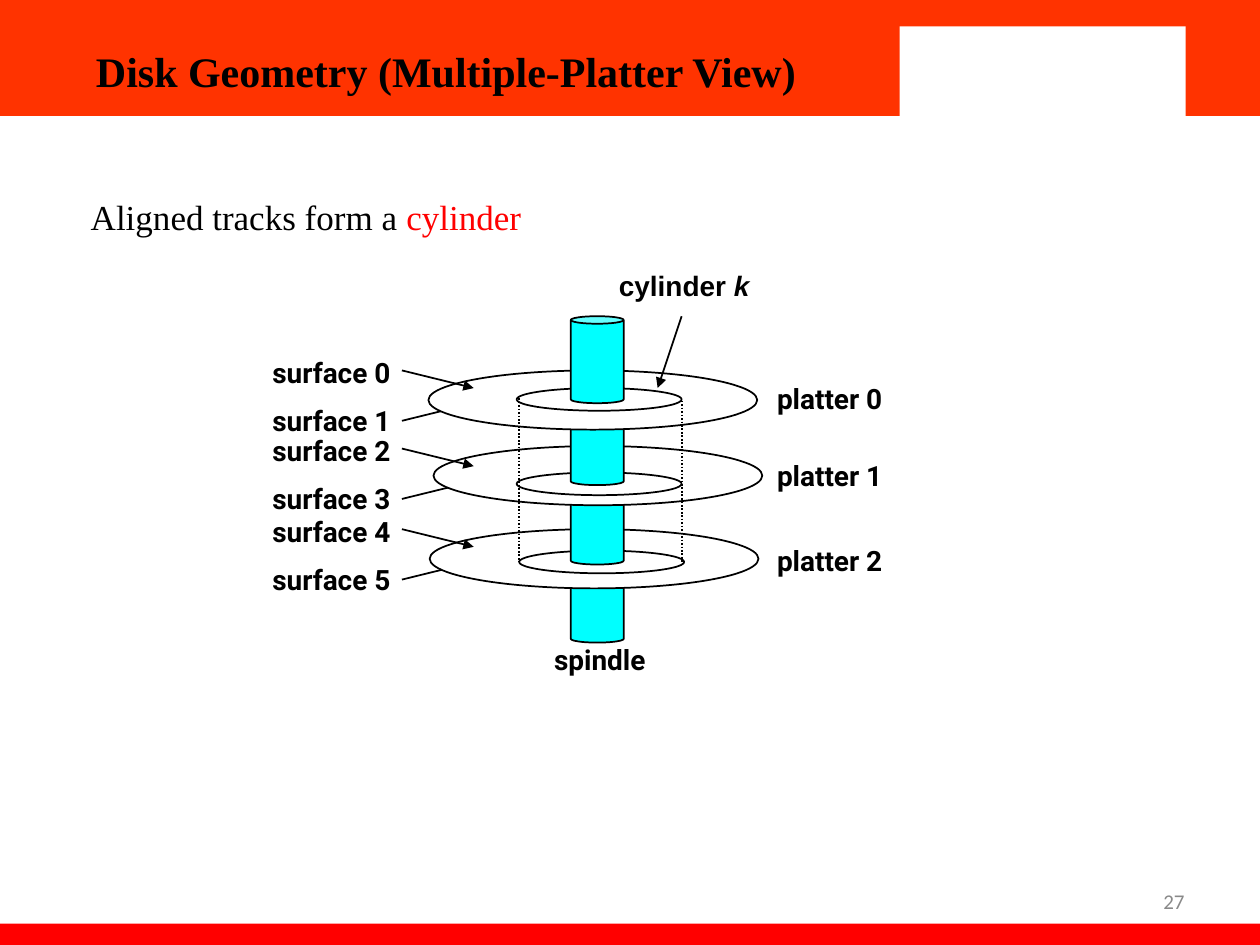
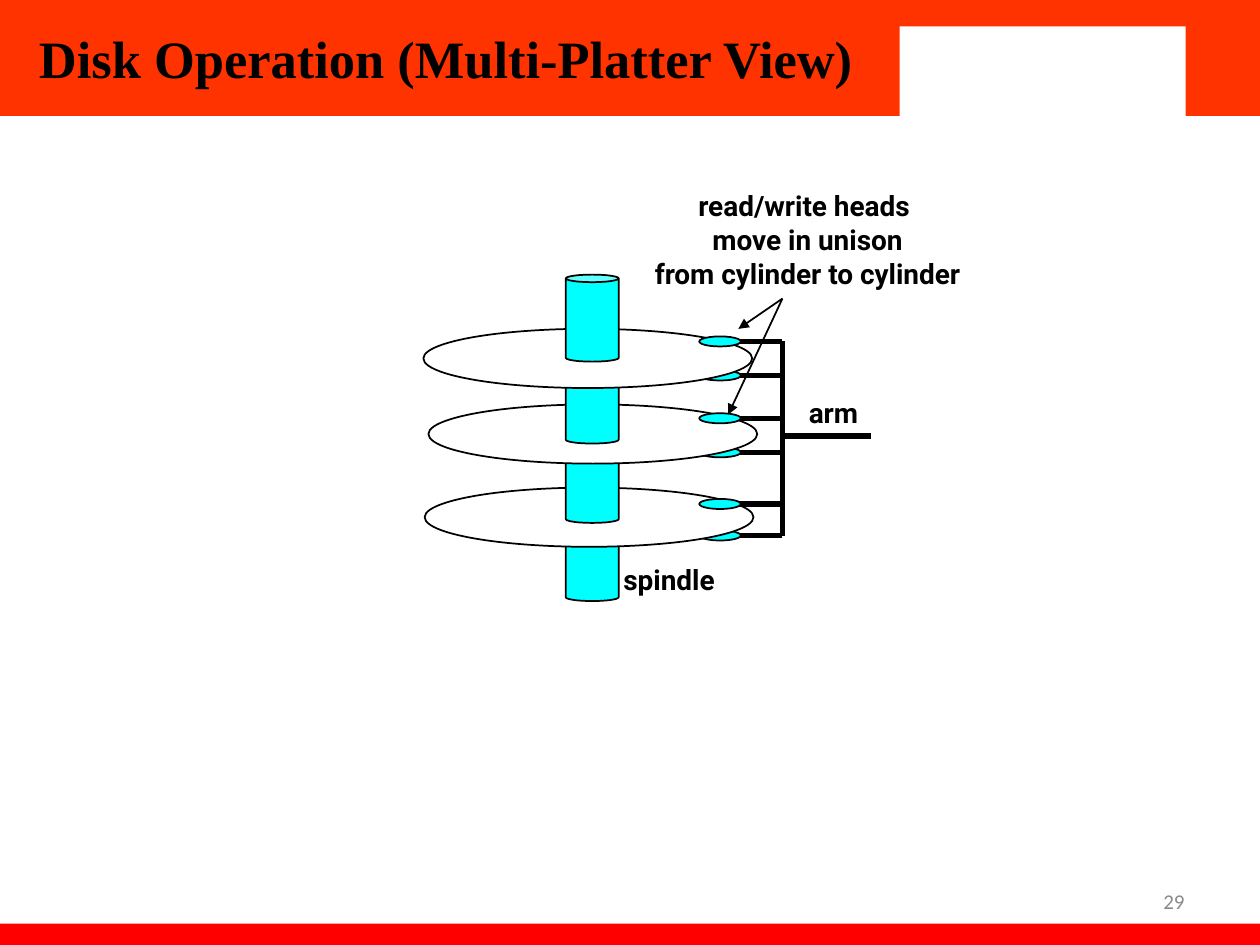
from lxml.etree import SubElement
from pptx import Presentation
from pptx.dml.color import RGBColor
from pptx.enum.dml import MSO_LINE
from pptx.enum.shapes import MSO_CONNECTOR, MSO_SHAPE
from pptx.enum.text import MSO_ANCHOR, MSO_AUTO_SIZE, PP_ALIGN
from pptx.oxml.ns import qn
from pptx.util import Inches, Pt

BLACK, WHITE, RED, ORANGE, CYAN, GREY = "000000", "FFFFFF", "FF0000", "FF3300", "00FFFF", "898989"
SERIF = "Times New Roman"
LABEL = {"name": "Roboto", "size": Pt(16), "bold": True}
TITLE_BOX = (0, 0, 7.08, 0.92)
BODY_BOX = (0.5, 1.5, 9, 4.95)
NUMBER_BOX = (7.17, 6.95, 2.33, 0.4)
BANDS = [
    ((0, 0, 10, 0.92), ORANGE),
    ((0, 7.33, 10, 0.17), RED),
    ((6.72, 0, 3.28, 0.92), ORANGE),
    ((7.14, 0.21, 2.27, 0.75), WHITE),
]
SPINDLE_LEFT = 1.13
SEGMENT_TOPS = (0, 0.65, 1.28, 1.9)
PLATTERS = ((0, 0.43), (0.04, 1.03), (0.01, 1.69))
RINGS = ((0.7, 0.57), (0.7, 1.24), (0.72, 1.86))


def rgb(color):
    """Turn a hex string into a colour."""
    return RGBColor.from_string(color)


def apply(target, formats):
    """Set each format value on the target."""
    for name, value in formats.items():
        setattr(target, name, value)


def place(shape, box):
    """Move a shape to a box of left, top, width and height in inches."""
    names = ("left", "top", "width", "height")
    apply(shape, dict(zip(names, map(Inches, box))))


def add_run(paragraph, text, color=BLACK, **formats):
    """Append a formatted run."""
    run = paragraph.add_run()
    run.text = text
    apply(run.font, formats)
    run.font.color.rgb = rgb(color)


def add_shape(slide, kind, box, fill=None, outline=BLACK):
    """Draw a preset shape with an optional fill and outline."""
    shape = slide.shapes.add_shape(kind, *map(Inches, box))
    shape.shadow.inherit = False
    if fill:
        shape.fill.solid()
        shape.fill.fore_color.rgb = rgb(fill)
    else:
        shape.fill.background()
    if outline:
        shape.line.color.rgb = rgb(outline)
        shape.line.width = Pt(1)
    else:
        shape.line.fill.background()
    return shape


def add_line(slide, start, end, width=1, dash=None, arrow=False):
    """Draw a straight black line, dashed or with an arrowhead on request."""
    line = slide.shapes.add_connector(MSO_CONNECTOR.STRAIGHT, *map(Inches, start + end))
    line.line.color.rgb = rgb(BLACK)
    line.line.width = Pt(width)
    if dash:
        line.line.dash_style = dash
    properties = line.element.spPr
    if arrow:
        SubElement(properties.find(qn("a:ln")), qn("a:tailEnd"), type="triangle")
    SubElement(properties, qn("a:effectLst"))


def add_label(slide, box, *lines):
    """Add a centred label; each line is a list of text and format pairs or a string."""
    frame = slide.shapes.add_textbox(*map(Inches, box)).text_frame
    apply(frame, {"word_wrap": False, "vertical_anchor": MSO_ANCHOR.MIDDLE,
                  "auto_size": MSO_AUTO_SIZE.SHAPE_TO_FIT_TEXT})
    for index, line in enumerate(lines):
        paragraph = frame.add_paragraph() if index else frame.paragraphs[0]
        paragraph.alignment = PP_ALIGN.CENTER
        for text, formats in [(line, {})] if isinstance(line, str) else line:
            add_run(paragraph, text, **{**LABEL, **formats})


def add_master_bands(presentation, slide):
    """Draw the shared bands and move them behind the master's placeholders."""
    tree = presentation.slide_master.element.cSld.spTree
    for index, (box, color) in enumerate(BANDS):
        band = add_shape(slide, MSO_SHAPE.RECTANGLE, box, color, outline=None)
        band.element.nvSpPr.cNvPr.set("id", str(100 + index))
        tree.insert(2 + index, band.element)


def add_title(slide, text, size, spacing):
    """Fill and place the title placeholder."""
    title = slide.shapes.title
    place(title, TITLE_BOX)
    apply(title.text_frame, {"vertical_anchor": MSO_ANCHOR.MIDDLE, "auto_size": MSO_AUTO_SIZE.NONE})
    paragraph = title.text_frame.paragraphs[0]
    apply(paragraph, {"alignment": PP_ALIGN.CENTER, "line_spacing": spacing})
    add_run(paragraph, text, name=SERIF, size=Pt(size), bold=True)


def add_body(slide, runs):
    """Fill the body placeholder with one unbulleted paragraph."""
    body = slide.placeholders[1]
    place(body, BODY_BOX)
    body.text_frame.auto_size = MSO_AUTO_SIZE.NONE
    paragraph = body.text_frame.paragraphs[0]
    properties = paragraph._p.get_or_add_pPr()
    properties.set("marL", str(Inches(0.12)))
    properties.set("indent", "0")
    SubElement(properties, qn("a:buNone"))
    paragraph.space_before = Pt(0)
    for text, color in runs:
        add_run(paragraph, text, color, name=SERIF, size=Pt(20))


def add_number(slide, number):
    """Write the slide number at the lower right."""
    frame = slide.shapes.add_textbox(*map(Inches, NUMBER_BOX)).text_frame
    apply(frame, {"word_wrap": True, "vertical_anchor": MSO_ANCHOR.MIDDLE})
    paragraph = frame.paragraphs[0]
    paragraph.alignment = PP_ALIGN.RIGHT
    add_run(paragraph, str(number), GREY, name="Calibri", size=Pt(12))


def add_disk_stack(slide, left, top, rings=False):
    """Stack spindle segments and platters from the bottom up."""
    def add_segment(offset):
        box = (left + SPINDLE_LEFT, top + offset, 0.42, 0.69)
        add_shape(slide, MSO_SHAPE.CAN, box, CYAN).adjustments[0] = 0.142

    for index in reversed(range(len(PLATTERS))):
        add_segment(SEGMENT_TOPS[index + 1])
        x, y = PLATTERS[index]
        add_shape(slide, MSO_SHAPE.OVAL, (left + x, top + y, 2.61, 0.47), WHITE)
        if rings:
            x, y = RINGS[index]
            add_shape(slide, MSO_SHAPE.OVAL, (left + x, top + y, 1.31, 0.18))
    add_segment(SEGMENT_TOPS[0])


def add_geometry_diagram(slide, left, top):
    """Draw the platters with labelled surfaces and one cylinder."""
    surface_tops = [top + offset for offset in (0.26, 0.88, 1.52)]

    def add_surface_arrows(start, end):
        for y in surface_tops:
            add_line(slide, (left - 0.21, y + start), (left + 0.36, y + end), arrow=True)

    add_surface_arrows(0.57, 0.43)
    add_disk_stack(slide, left, top, rings=True)
    add_surface_arrows(0.17, 0.31)
    for index, y in enumerate(surface_tops):
        for side in range(2):
            box = (left - 1.36, y + 0.38 * side, 1.18, 0.37)
            add_label(slide, box, f"surface {2 * index + side}")
    for index, y in enumerate((0.47, 1.08, 1.75)):
        add_label(slide, (left + 2.65, top + y, 1.07, 0.37), f"platter {index}")
    for x, y in ((0.72, 0.65), (2.01, 0.67)):
        add_line(slide, (left + x, top + y), (left + x, top + y + 1.3), dash=MSO_LINE.ROUND_DOT)
    arial = {"name": "Arial"}
    add_label(slide, (left + 1.41, top - 0.43, 1.24, 0.37),
              [("cylinder ", arial), ("k", {**arial, "italic": True})])
    add_line(slide, (left + 2.01, top), (left + 1.82, top + 0.57), arrow=True)
    add_label(slide, (left + 0.87, top + 2.54, 0.98, 0.37), "spindle")


def add_operation_diagram(slide, left, top):
    """Draw the platters with read/write heads on a shared arm."""
    arm_x = left + 2.85
    upper_heads, lower_heads = (0.53, 1.14, 1.82), (0.8, 1.41, 2.07)

    def add_heads(offsets):
        for y in offsets:
            add_line(slide, (arm_x, top + y), (arm_x - 0.5, top + y), width=3)
            add_shape(slide, MSO_SHAPE.OVAL, (arm_x - 0.66, top + y - 0.04, 0.33, 0.08), CYAN)

    add_heads(lower_heads)
    add_disk_stack(slide, left, top)
    add_heads(upper_heads)
    add_line(slide, (arm_x, top + upper_heads[0]), (arm_x, top + lower_heads[-1]), width=3)
    add_line(slide, (arm_x, top + 1.28), (arm_x + 0.7, top + 1.28), width=3)
    add_label(slide, (arm_x + 0.1, top + 0.91, 0.61, 0.37), "arm")
    add_label(slide, (arm_x - 1.2, top - 0.73, 2.8, 0.9),
              "read/write heads ", "move in unison", "from cylinder to cylinder")
    for x, y in ((0.35, 0.43), (0.43, 1.11)):
        add_line(slide, (arm_x, top + 0.19), (arm_x - x, top + y), arrow=True)
    add_label(slide, (left + 1.46, top + 2.23, 0.98, 0.37), "spindle")


def add_slide(presentation, layout, title, size, number, spacing=1.0):
    """Add a slide with its title and number."""
    slide = presentation.slides.add_slide(presentation.slide_layouts.get_by_name(layout))
    add_title(slide, title, size, spacing)
    add_number(slide, number)
    return slide


def main():
    """Build and save the presentation."""
    presentation = Presentation()
    apply(presentation, {"slide_width": Inches(10), "slide_height": Inches(7.5)})

    geometry = add_slide(presentation, "Title and Content",
                         "Disk Geometry (Multiple-Platter View)", 24, 27, spacing=1.5)
    add_master_bands(presentation, geometry)
    add_body(geometry, [("Aligned tracks form a ", BLACK), ("cylinder", RED)])
    add_geometry_diagram(geometry, 3.4, 2.51)

    operation = add_slide(presentation, "Title Only", "Disk Operation (Multi-Platter View)", 30, 29)
    add_operation_diagram(operation, 3.36, 2.18)

    presentation.save("out.pptx")


if __name__ == "__main__":
    main()
